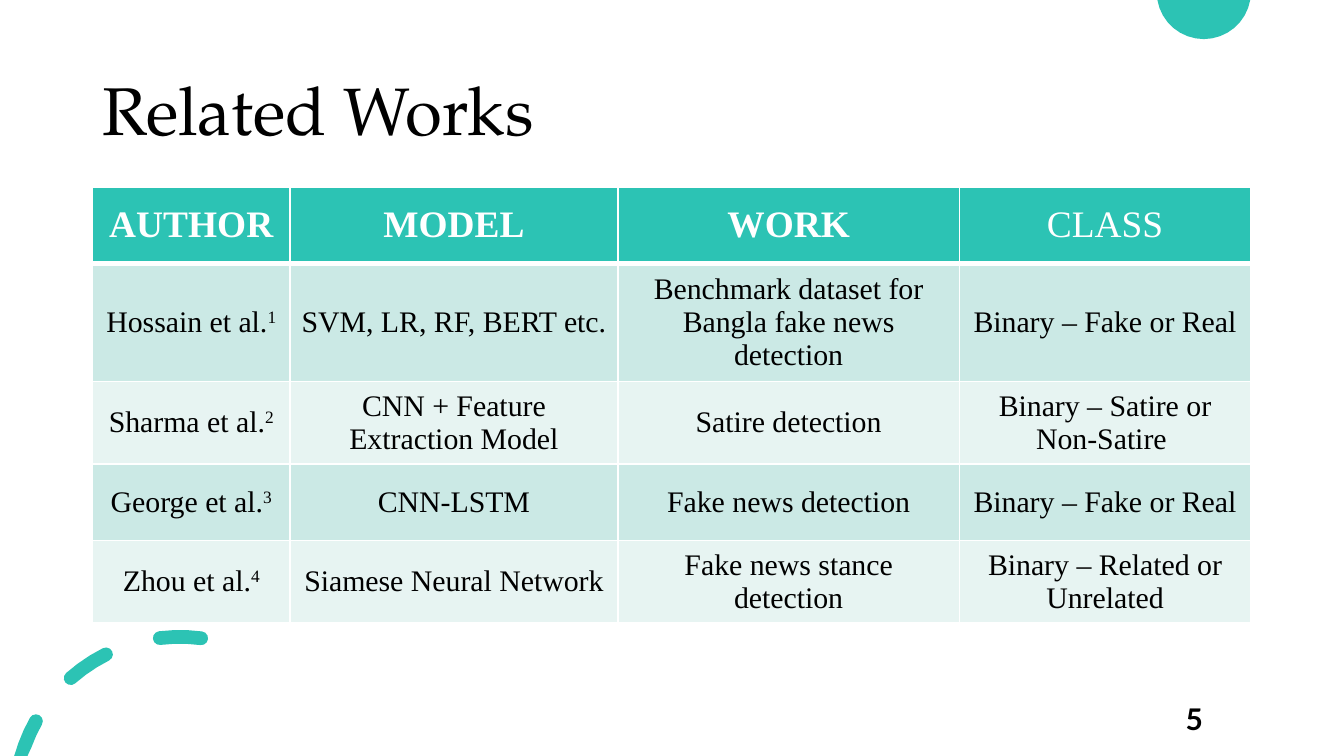
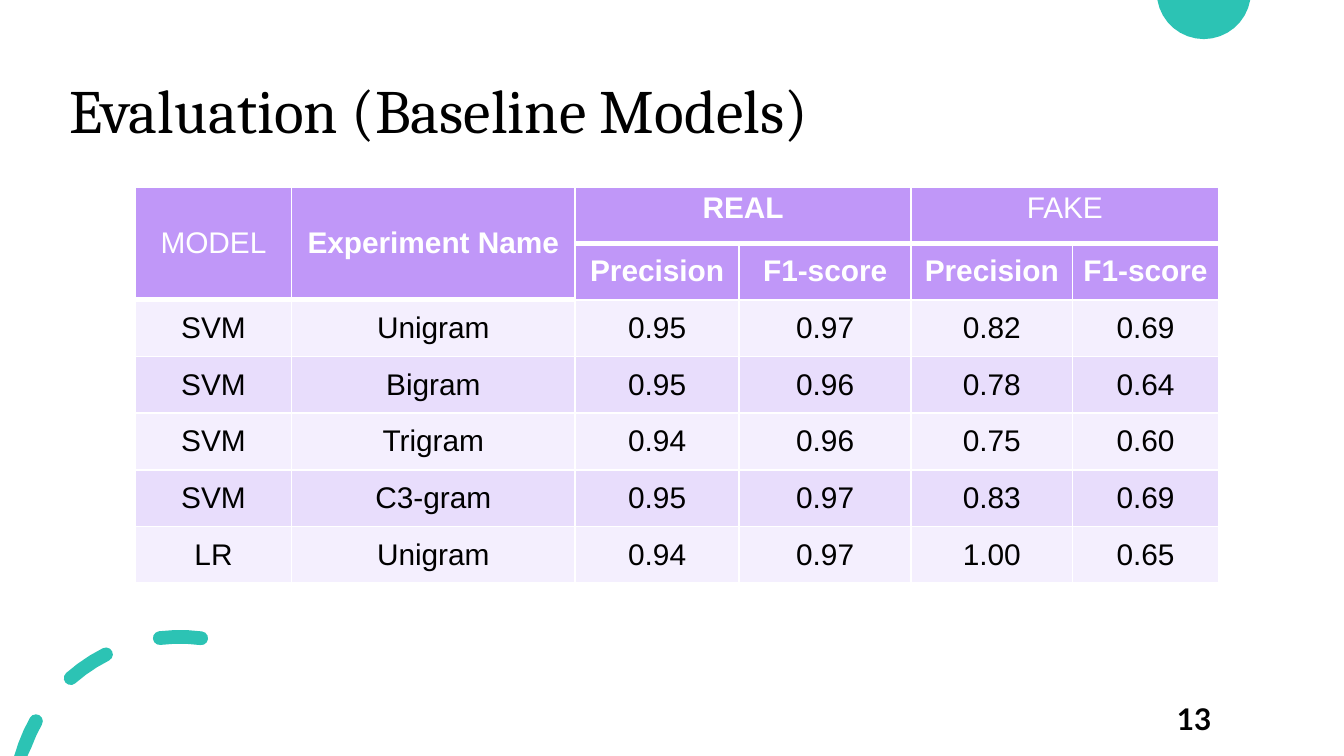
import math
from dataclasses import dataclass

import lxml.etree
import pptx
import pptx.dml.color
import pptx.enum.text
import pptx.oxml.ns
import pptx.util

Cm, Pt = pptx.util.Cm, pptx.util.Pt
ALIGN = pptx.enum.text.PP_ALIGN
ANCHOR = pptx.enum.text.MSO_ANCHOR


@dataclass(frozen=True)
class Theme:
    wide: float = 25.4
    high: float = 14.29
    teal: str = "2CC3B4"
    black: str = "000000"
    white: str = "FFFFFF"
    body: int = 16
    thin: int = 1
    thick: int = 3
    inset: tuple = (0.19, 0.1)


@dataclass(frozen=True)
class Look:
    """Table style; bands holds the fills of even and odd rows."""
    font: str
    head: str
    bands: tuple
    size: int
    heads: int
    light: tuple


THEME = Theme()
MINT = Look("Times New Roman", THEME.teal, ("E7F4F2", "CBE9E5"), 20, 1, ("CLASS",))
LILAC = Look("Arial", "C097F8", ("F4EFFE", "E8DDFC"), 16, 2, ("MODEL", "FAKE"))

WORKS = [
    ["AUTHOR", "MODEL", "WORK", "CLASS"],
    ["Hossain et al.^1", "SVM, LR, RF, BERT etc.",
     "Benchmark dataset for Bangla fake news detection", "Binary – Fake or Real"],
    ["Sharma et al.^2", "CNN + Feature Extraction Model",
     "Satire detection", "Binary – Satire or Non-Satire "],
    ["George et al.^3", "CNN-LSTM", "Fake news detection", "Binary – Fake or Real"],
    ["Zhou et al.^4", "Siamese Neural Network",
     "Fake news stance detection", "Binary – Related or Unrelated"],
]
SCORES = [
    ["MODEL", "Experiment Name", "REAL", "", "FAKE", ""],
    ["", ""] + ["Precision", "F1-score"] * 2,
    ["SVM", "Unigram", "0.95", "0.97", "0.82", "0.69"],
    ["SVM", "Bigram", "0.95", "0.96", "0.78", "0.64"],
    ["SVM", "Trigram", "0.94", "0.96", "0.75", "0.60"],
    ["SVM", "C3-gram", "0.95", "0.97", "0.83", "0.69"],
    ["LR", "Unigram", "0.94", "0.97", "1.00", "0.65"],
]
# First and last cell of each merged block, as (row, column)
SPANS = [((0, 0), (1, 0)), ((0, 1), (1, 1)), ((0, 2), (0, 3)), ((0, 4), (0, 5))]


def rgb(code):
    return pptx.dml.color.RGBColor.from_string(code)


def assign(item, values):
    for name, value in values.items():
        setattr(item, name, value)


def margins():
    side, end = (Cm(v) for v in THEME.inset)
    return {"margin_left": side, "margin_right": side,
            "margin_top": end, "margin_bottom": end}


def write(para, text, font, size, color, bold=False):
    """Add text; whatever follows a ^ is raised."""
    for part, words in enumerate(text.split("^")):
        run = para.add_run()
        run.text = words
        assign(run.font, {"name": font, "size": Pt(size), "bold": bold})
        run.font.color.rgb = rgb(color)
        if part:
            run._r.get_or_add_rPr().set("baseline", "30000")


def label(slide, box, text, font, size, bold=False, align=ALIGN.LEFT, space=1.0):
    frame = slide.shapes.add_textbox(*map(Cm, box)).text_frame
    assign(frame, {"word_wrap": True, "vertical_anchor": ANCHOR.MIDDLE, **margins()})
    para = frame.paragraphs[0]
    assign(para, {"alignment": align, "line_spacing": space})
    write(para, text, font, size, THEME.black, bold)


def arc(center, radius, start, end, parts):
    """Points clockwise from the top, held within the slide's height."""
    points = []
    for step in range(parts + 1):
        angle = math.radians(start + (end - start) * step / parts)
        x = center[0] + radius * math.sin(angle)
        y = center[1] - radius * math.cos(angle)
        points.append((Cm(x), Cm(min(max(y, 0), THEME.high))))
    return points


def dash(center, radius, half, start, end):
    """Outline of a curved stroke with round ends."""
    def cap(angle, turn):
        spot = (center[0] + radius * math.sin(math.radians(angle)),
                center[1] - radius * math.cos(math.radians(angle)))
        return arc(spot, half, turn, turn + 180, 6)

    return (arc(center, radius + half, start, end, 3)[1:-1] + cap(end, end)
            + arc(center, radius - half, end, start, 3)[1:-1]
            + cap(start, start + 180))


def outline(slide, loops):
    first, *rest = loops
    pen = slide.shapes.build_freeform(*first[0])
    pen.add_line_segments(first[1:], close=True)
    for loop in rest:
        pen.move_to(*loop[0])
        pen.add_line_segments(loop[1:], close=True)
    shape = pen.convert_to_shape()
    shape.shadow.inherit = False
    shape.fill.solid()
    shape.fill.fore_color.rgb = rgb(THEME.teal)
    shape.line.fill.background()


def decor(slide):
    outline(slide, [arc((22.75, -0.15), 0.89, 99.7, 260.3, 16)])
    turns = [(-74.5, -60.7), (-41.4, -26.6), (-7, 7.4)]
    outline(slide, [dash((3.4, 15.16), 3.12, 0.13, *turn) for turn in turns])


def border(cell, side, width):
    qn = pptx.oxml.ns.qn
    props = cell._tc.get_or_add_tcPr()
    line = lxml.etree.SubElement(props, qn(f"a:ln{side}"), w=str(Pt(width)))
    fill = lxml.etree.SubElement(line, qn("a:solidFill"))
    lxml.etree.SubElement(fill, qn("a:srgbClr"), val=THEME.white)


def paint(cell, text, look, row, last):
    """Format a cell; last is the final row of its column's top block."""
    head = row < look.heads
    bottom = THEME.thick if row in (0, last) else THEME.thin
    top = THEME.thick if row - 1 in (0, last) else THEME.thin
    for side, width in zip("LRTB", (THEME.thin, THEME.thin, top, bottom)):
        border(cell, side, width)
    cell.fill.solid()
    cell.fill.fore_color.rgb = rgb(look.head if head else look.bands[row % 2])
    wide = cell.is_merge_origin and cell.span_width > 1
    anchor = ANCHOR.TOP if wide else ANCHOR.MIDDLE
    assign(cell, {"vertical_anchor": anchor, **margins()})
    para = cell.text_frame.paragraphs[0]
    para.alignment = ALIGN.CENTER
    if text:
        write(para, text, look.font, look.size if head else THEME.body,
              THEME.white if head else THEME.black, head and text not in look.light)


def grid(slide, spot, cols, step, data, look, spans=()):
    size = (sum(cols), step * len(data))
    frame = slide.shapes.add_table(len(data), len(cols), *map(Cm, spot + size))
    table = frame.table
    for col, width in zip(table.columns, cols):
        col.width = Cm(width)
    for line in table.rows:
        line.height = Cm(step)
    for start, end in spans:
        table.cell(*start).merge(table.cell(*end))
    lasts = [table.cell(0, col).span_height - 1 for col in range(len(cols))]
    for row, texts in enumerate(data):
        for col, text in enumerate(texts):
            paint(table.cell(row, col), text, look, row, lasts[col])


def page(deck, number, title, left, font, size):
    """Add a slide with the shared shapes, title and page number."""
    slide = deck.slides.add_slide(deck.slide_layouts[6])
    decor(slide)
    label(slide, (left, 0.76, 21.89, 2.77), title, font, size, space=0.9)
    label(slide, (19.71, 13.21, 5.72, 0.76), str(number), "Lato", THEME.body,
          bold=True, align=ALIGN.CENTER)
    return slide


def main():
    deck = pptx.Presentation()
    assign(deck, {"slide_width": Cm(THEME.wide), "slide_height": Cm(THEME.high)})
    works = page(deck, 5, "Related Works", 1.75, "TeX Gyre Pagella", 36)
    grid(works, (1.75, 3.53), (3.73, 6.2, 6.45, 5.51), 1.45, WORKS, MINT)
    scores = page(deck, 13, "Evaluation (Baseline Models)", 1.12, "Cambria", 33)
    grid(scores, (2.56, 3.53), (2.95, 5.36, 3.1, 3.25, 3.05, 2.76), 1.07,
         SCORES, LILAC, SPANS)
    deck.save("out.pptx")


if __name__ == "__main__":
    main()
